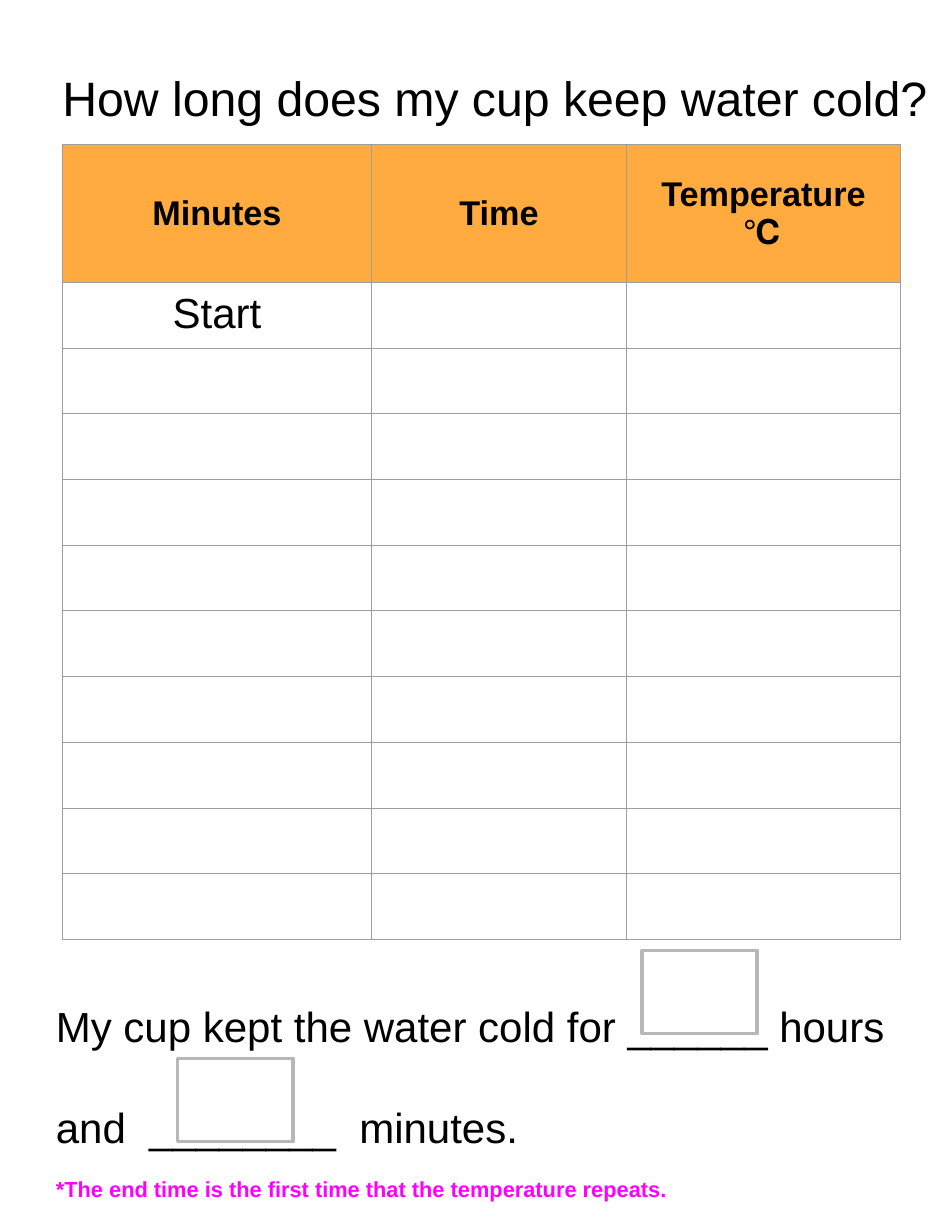
"""Build a worksheet slide for timing how long a cup keeps water cold."""
from dataclasses import dataclass

from lxml import etree
from pptx import Presentation
from pptx.dml.color import RGBColor
from pptx.enum.shapes import MSO_SHAPE
from pptx.enum.text import MSO_ANCHOR, MSO_AUTO_SIZE, PP_ALIGN
from pptx.oxml.ns import qn
from pptx.util import Pt

CENTER, LEFT = PP_ALIGN.CENTER, PP_ALIGN.LEFT
TOP, MIDDLE = MSO_ANCHOR.TOP, MSO_ANCHOR.MIDDLE
NO_AUTOFIT = MSO_AUTO_SIZE.NONE
RECTANGLE = MSO_SHAPE.RECTANGLE
TITLE_ONLY = 5


@dataclass(frozen=True)
class Theme:
    """Colours, font and type sizes of the worksheet."""
    font: str = "Arial"
    ink: str = "000000"
    header: str = "FFAB40"
    grid: str = "9E9E9E"
    answer: str = "B7B7B7"
    hint: str = "FF00FF"
    title_size: float = 31
    body_size: float = 27
    header_size: float = 22
    hint_size: float = 14
    grid_width: float = 0.75
    answer_width: float = 2.25


@dataclass(frozen=True)
class Box:
    """A position and size in points."""
    left: float
    top: float
    width: float
    height: float

    def lengths(self) -> tuple:
        """Return the four values as lengths."""
        return Pt(self.left), Pt(self.top), Pt(self.width), Pt(self.height)


@dataclass(frozen=True)
class Style:
    """How the text of one block looks."""
    size: float
    color: str
    bold: bool = False
    align: int = LEFT


@dataclass(frozen=True)
class Column:
    """One column of the log with its heading and width."""
    heading: str
    width: float


THEME = Theme()
TITLE_STYLE = Style(THEME.title_size, THEME.ink, align=CENTER)
HEADER_STYLE = Style(THEME.header_size, THEME.ink, True, CENTER)
ENTRY_STYLE = Style(THEME.body_size, THEME.ink, align=CENTER)
ANSWER_STYLE = Style(THEME.body_size, THEME.ink)
HINT_STYLE = Style(THEME.hint_size, THEME.hint, True)

TITLE_BOX = Box(28.6, 36.7, 578.9, 51.8)
LOG_ORIGIN = (40.2, 92.9)
ANSWER_BOX = Box(28.8, 635.8, 562.3, 113)
HINT_BOX = Box(28.8, 748.8, 514.8, 31.7)
BLANKS = [Box(412.6, 611.1, 74.2, 53.3), Box(114.2, 680.5, 74.2, 53.3)]

COLUMNS = [
    Column("Minutes", 198.6),
    Column("Time", 164),
    Column("Temperature\n℃", 176.1),
]
HEADER_HEIGHT, ENTRY_HEIGHT, ENTRY_COUNT = 88.7, 42.25, 10


def write(frame, text: str, style: Style) -> None:
    """Fill a text frame, one paragraph per line of text."""
    frame.text = text
    for paragraph in frame.paragraphs:
        paragraph.alignment = style.align
        font = paragraph.font
        font.name = THEME.font
        font.size = Pt(style.size)
        font.bold = style.bold
        font.color.rgb = RGBColor.from_string(style.color)


def fill_block(block, text: str, style: Style) -> None:
    """Set margins, wrapping and text of a title or text box."""
    frame = block.text_frame
    frame.word_wrap = True
    frame.auto_size = NO_AUTOFIT
    frame.vertical_anchor = TOP
    frame.margin_left = frame.margin_right = Pt(7.2)
    frame.margin_top = frame.margin_bottom = Pt(7.2)
    write(frame, text, style)


def draw_borders(cell) -> None:
    """Give a cell thin lines on all four sides."""
    properties = cell._tc.get_or_add_tcPr()
    for side in ("a:lnL", "a:lnR", "a:lnT", "a:lnB"):
        line = etree.SubElement(properties, qn(side), w=str(Pt(THEME.grid_width)))
        solid = etree.SubElement(line, qn("a:solidFill"))
        etree.SubElement(solid, qn("a:srgbClr"), val=THEME.grid)


def draw_log(slide) -> None:
    """Draw the table in which readings are written."""
    area = Box(*LOG_ORIGIN, sum(column.width for column in COLUMNS),
               HEADER_HEIGHT + ENTRY_COUNT * ENTRY_HEIGHT)
    log = slide.shapes.add_table(ENTRY_COUNT + 1, len(COLUMNS), *area.lengths()).table
    log.first_row = log.horz_banding = False
    for row in log.rows:
        row.height = Pt(ENTRY_HEIGHT)
    log.rows[0].height = Pt(HEADER_HEIGHT)
    for cell in log.iter_cells():
        cell.margin_left = cell.margin_right = Pt(8.64)
        cell.margin_top = cell.margin_bottom = Pt(5.04)
        draw_borders(cell)
        cell.fill.background()
    for index, column in enumerate(COLUMNS):
        log.columns[index].width = Pt(column.width)
        heading = log.cell(0, index)
        heading.vertical_anchor = MIDDLE
        heading.fill.solid()
        heading.fill.fore_color.rgb = RGBColor.from_string(THEME.header)
        write(heading.text_frame, column.heading, HEADER_STYLE)
    write(log.cell(1, 0).text_frame, "Start", ENTRY_STYLE)


def draw_blank(slide, box: Box) -> None:
    """Draw an outlined box for a handwritten answer."""
    blank = slide.shapes.add_shape(RECTANGLE, *box.lengths())
    blank.shadow.inherit = False
    blank.fill.background()
    blank.line.color.rgb = RGBColor.from_string(THEME.answer)
    blank.line.width = Pt(THEME.answer_width)


def main() -> None:
    """Build and save the worksheet."""
    deck = Presentation()
    deck.slide_width, deck.slide_height = Pt(612), Pt(792)
    slide = deck.slides.add_slide(deck.slide_layouts[TITLE_ONLY])

    title = slide.shapes.title
    title.left, title.top, title.width, title.height = TITLE_BOX.lengths()
    fill_block(title, "How long does my cup keep water cold?", TITLE_STYLE)

    draw_log(slide)

    answer = slide.shapes.add_textbox(*ANSWER_BOX.lengths())
    fill_block(answer, "My cup kept the water cold for ______ hours\n"
                       "and  ________  minutes.", ANSWER_STYLE)
    answer.text_frame.paragraphs[1].space_before = Pt(32.5)

    for box in BLANKS:
        draw_blank(slide, box)

    hint = slide.shapes.add_textbox(*HINT_BOX.lengths())
    fill_block(hint, "*The end time is the first time that the temperature repeats.",
               HINT_STYLE)

    deck.save("out.pptx")


if __name__ == "__main__":
    main()
